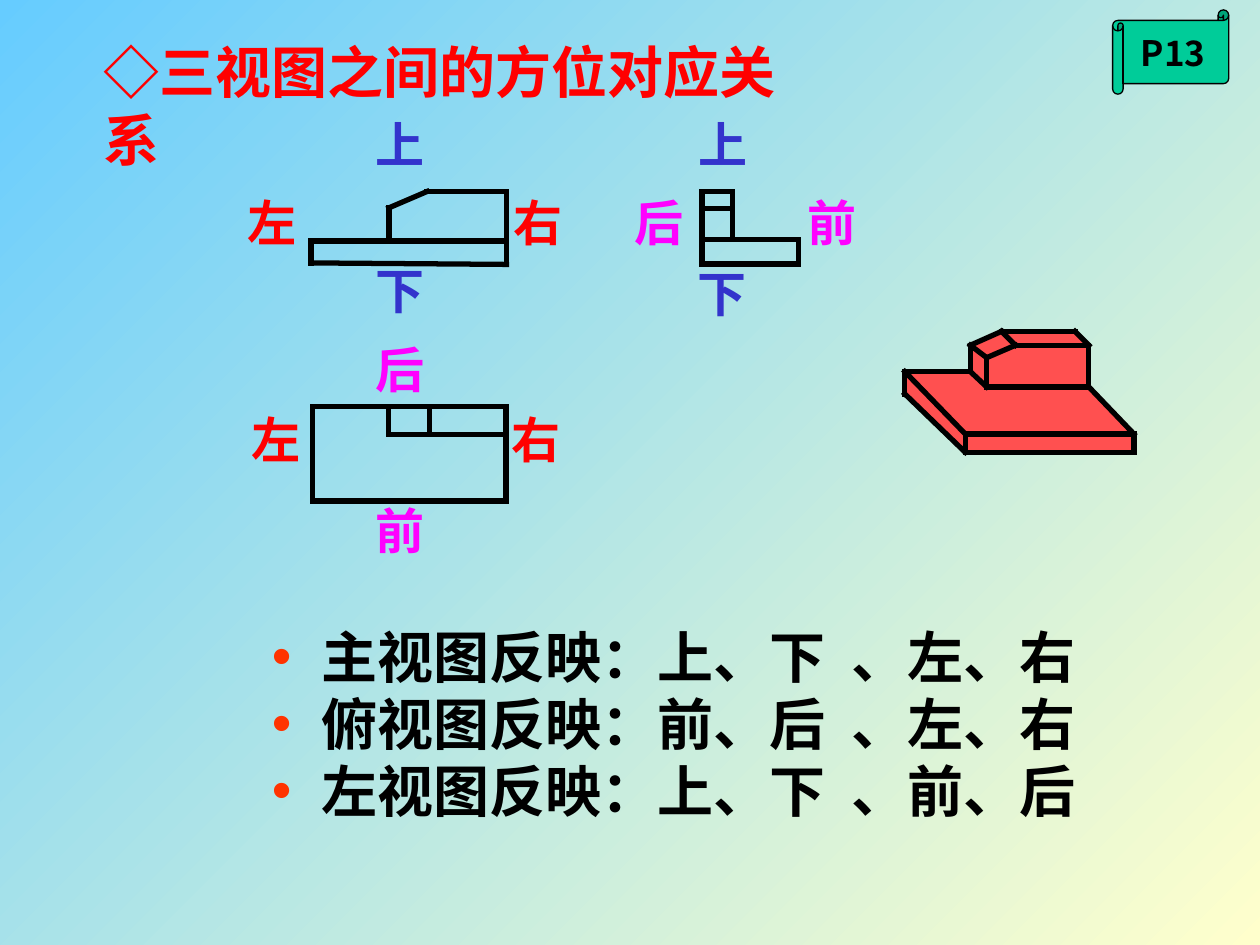
import lxml.etree
import pptx
import pptx.dml.color
import pptx.enum.shapes
import pptx.enum.text
import pptx.oxml.ns
import pptx.util

Cm = pptx.util.Cm
Pt = pptx.util.Pt
qn = pptx.oxml.ns.qn

COLOURS = {
    "sky": "66CCFF", "cream": "FFFFCC", "red": "FF0000", "blue": "3333CC",
    "magenta": "FF00FF", "black": "000000", "bullet": "FF3300",
    "solid": "FF5050", "scroll": "00CC99",
}
SANS = "Noto Sans CJK SC"
SERIF = "Times New Roman"


def rgb(colour):
    return pptx.dml.color.RGBColor.from_string(COLOURS[colour])


def add_run(paragraph, text, size=32, font=SANS, colour="black", spacing=None):
    run = paragraph.add_run()
    run.text = text
    run.font.size = Pt(size)
    run.font.bold = True
    run.font.name = font
    run.font.color.rgb = rgb(colour)
    properties = run.font._element
    lxml.etree.SubElement(properties, qn("a:ea")).set("typeface", SANS)
    if spacing is not None:
        properties.set("spc", str(spacing))


class ViewSlide:
    """Holds the drawing style and the slide being built."""

    def __init__(self, presentation):
        self.slide = presentation.slides.add_slide(presentation.slide_layouts[6])
        self.shapes = self.slide.shapes
        self.edge_width = Pt(3)

    def background(self, start, end):
        fill = self.slide.background.fill
        fill.gradient()
        fill.gradient_angle = 315
        for stop, colour in zip(fill.gradient_stops, (start, end)):
            stop.color.rgb = rgb(colour)

    def text(self, left, top, width, height, text="", wrap=True, **style):
        box = self.shapes.add_textbox(Cm(left), Cm(top), Cm(width), Cm(height))
        box.text_frame.word_wrap = wrap
        if text:
            add_run(box.text_frame.paragraphs[0], text, **style)
        return box.text_frame

    def bullets(self, left, top, width, height, items):
        frame = self.text(left, top, width, height)
        for index, (views, directions) in enumerate(items):
            paragraph = frame.add_paragraph() if index else frame.paragraphs[0]
            properties = paragraph._p.get_or_add_pPr()
            properties.set("marL", str(Cm(2.8)))
            properties.set("indent", str(Cm(-1)))
            bullet_colour = lxml.etree.SubElement(properties, qn("a:buClr"))
            lxml.etree.SubElement(bullet_colour, qn("a:srgbClr")).set(
                "val", COLOURS["bullet"])
            lxml.etree.SubElement(properties, qn("a:buFont")).set("typeface", "Arial")
            lxml.etree.SubElement(properties, qn("a:buChar")).set("char", "•")
            add_run(paragraph, views)
            add_run(paragraph, " ", spacing=720)
            add_run(paragraph, directions)

    def edges(self, points, shapes=None):
        for start, end in zip(points, points[1:]):
            edge = (shapes or self.shapes).add_connector(
                pptx.enum.shapes.MSO_CONNECTOR.STRAIGHT,
                *(Cm(value) for value in (*start, *end)))
            edge.line.width = self.edge_width
            edge.line.color.rgb = rgb("black")
            edge.line._get_or_add_ln().set("cap", "sq")
            lxml.etree.SubElement(edge._element.spPr, qn("a:effectLst"))

    def solid(self, corners, outline, edge_runs):
        shapes = self.shapes.add_group_shape().shapes
        first, *rest = [tuple(Cm(v) for v in corners[key]) for key in outline]
        builder = shapes.build_freeform(*first)
        builder.add_line_segments(rest, close=True)
        body = builder.convert_to_shape()
        body.shadow.inherit = False
        body.fill.solid()
        body.fill.fore_color.rgb = rgb("solid")
        body.line.color.rgb = rgb("solid")
        body.line.width = Pt(1)
        for run in edge_runs:
            self.edges([corners[key] for key in run], shapes)

    def scroll(self, left, top, width, height, text):
        badge = self.shapes.add_shape(
            pptx.enum.shapes.MSO_SHAPE.HORIZONTAL_SCROLL,
            Cm(left), Cm(top), Cm(width), Cm(height))
        badge.shadow.inherit = False
        badge.fill.solid()
        badge.fill.fore_color.rgb = rgb("scroll")
        badge.line.color.rgb = rgb("black")
        badge.line.width = Pt(0.75)
        frame = badge.text_frame
        frame.word_wrap = False
        frame.vertical_anchor = pptx.enum.text.MSO_ANCHOR.MIDDLE
        frame.paragraphs[0].alignment = pptx.enum.text.PP_ALIGN.CENTER
        add_run(frame.paragraphs[0], text, size=20)


DIRECTION_COLOURS = {"上": "blue", "下": "blue", "左": "red", "右": "red",
                     "前": "magenta", "后": "magenta"}
DIRECTIONS = [
    ("上", 7.32, 2.18), ("下", 7.32, 5.13), ("左", 4.75, 3.76), ("右", 10.11, 3.76),
    ("后", 7.32, 6.71), ("前", 7.32, 9.96), ("左", 4.83, 8.13), ("右", 10.06, 8.13),
    ("上", 13.84, 2.18), ("下", 13.82, 5.18), ("后", 12.55, 3.76), ("前", 16.03, 3.76),
]
FRONT_VIEW = [
    [(6.27, 4.86), (6.27, 5.3), (10.21, 5.33), (10.21, 3.86), (8.61, 3.86),
     (7.84, 4.19), (7.84, 4.86)],
    [(6.27, 4.86), (10.21, 4.86)],
]
TOP_VIEW = [
    [(6.3, 8.19), (10.2, 8.19), (10.2, 10.1), (6.3, 10.1), (6.3, 8.19)],
    [(7.83, 8.19), (7.83, 8.76), (10.2, 8.76)],
    [(8.66, 8.19), (8.66, 8.76)],
]
SIDE_VIEW = [
    [(14.15, 3.86), (14.77, 3.86), (14.77, 4.83)],
    [(14.15, 3.86), (14.15, 5.32), (16.1, 5.32), (16.1, 4.83), (14.15, 4.83)],
    [(14.15, 4.21), (14.77, 4.21)],
]
SOLID_CORNERS = {
    "A": (18.24, 7.49), "B": (18.24, 7.94), "C": (19.46, 8.75), "D": (19.46, 9.12),
    "E": (22.86, 8.75), "F": (22.86, 9.12), "G": (21.95, 7.8), "H": (21.95, 6.96),
    "I": (21.67, 6.68), "J": (20.19, 6.68), "K": (20.47, 6.96), "L": (19.89, 7.21),
    "M": (19.89, 7.8), "N": (19.56, 6.96), "O": (19.56, 7.49),
}


def main():
    presentation = pptx.Presentation()
    presentation.slide_width = Cm(25.4)
    presentation.slide_height = Cm(19.05)
    page = ViewSlide(presentation)
    page.background("sky", "cream")
    page.text(1.83, 0.64, 14.94, 1.63, "◇三视图之间的方位对应关系", colour="red")
    page.bullets(3.43, 12.42, 19.91, 4.32, [
        ("主视图反映：上、下", "、左、右"),
        ("俯视图反映：前、后", "、左、右"),
        ("左视图反映：上、下", "、前、后"),
    ])
    for direction, left, top in DIRECTIONS:
        page.text(left, top, 1.5, 1.45, direction, wrap=False, size=28,
                  font=SERIF, colour=DIRECTION_COLOURS[direction])
    for points in FRONT_VIEW + TOP_VIEW + SIDE_VIEW:
        page.edges(points)
    page.solid(SOLID_CORNERS, "AONJIHGEFDB",
               ["ABDFECA", "CD", "AONJIHGE", "JKH", "KLMG", "LN", "OM"])
    page.scroll(22.43, 0.2, 2.34, 1.7, "P13")
    presentation.save("out.pptx")


if __name__ == "__main__":
    main()
